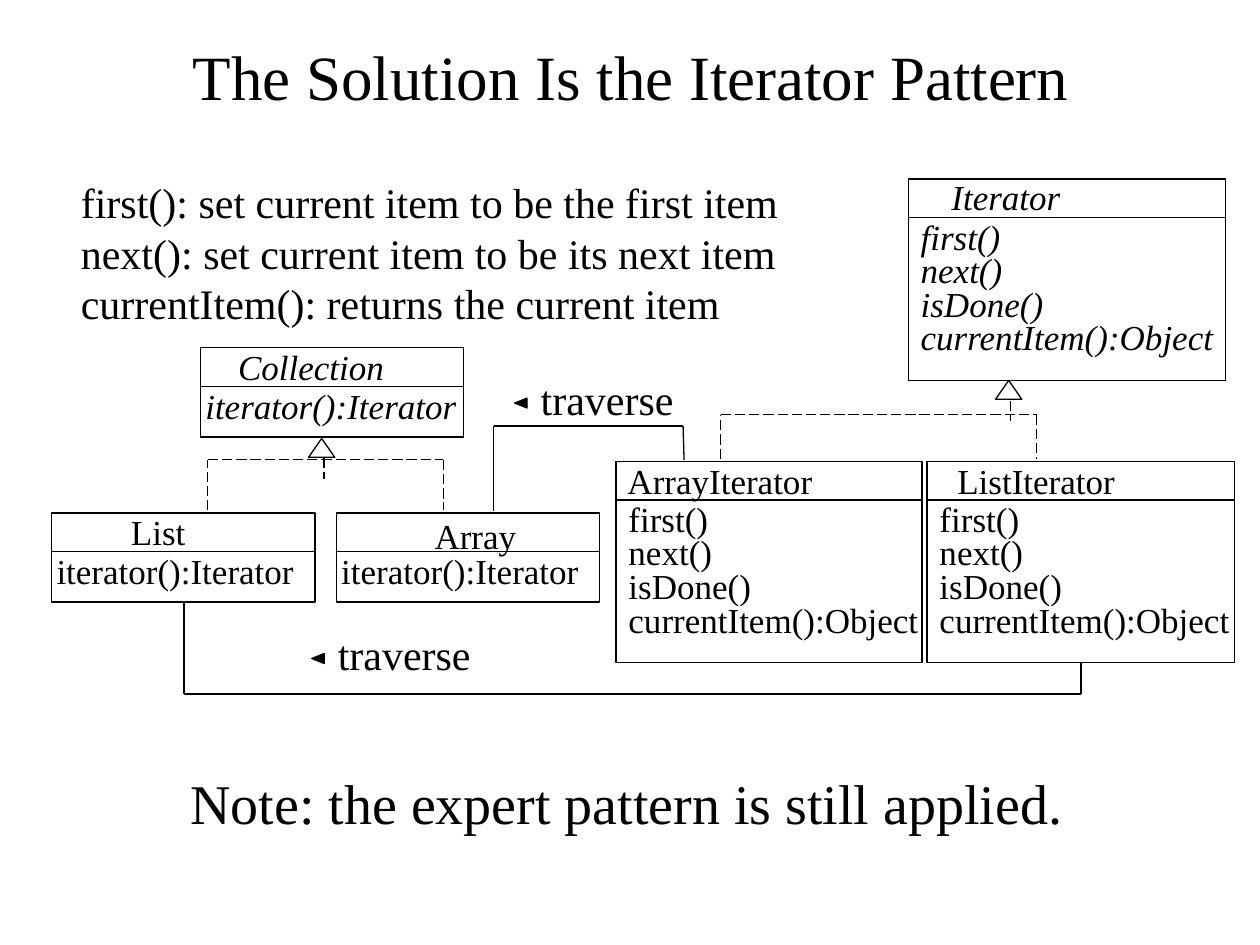
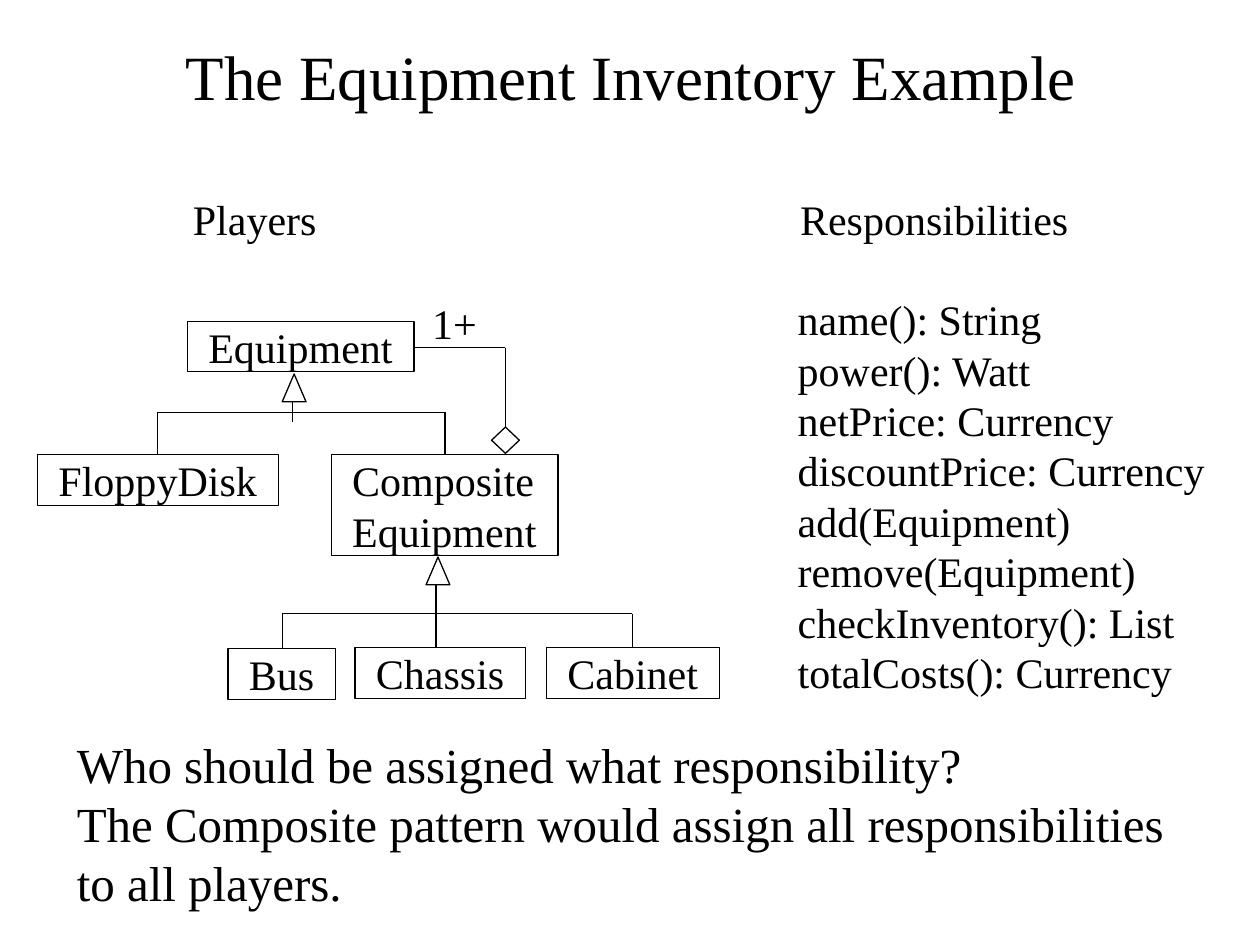
from itertools import pairwise

from lxml import etree
from pptx import Presentation
from pptx.dml.color import RGBColor
from pptx.enum.dml import MSO_LINE
from pptx.enum.shapes import MSO_CONNECTOR, MSO_SHAPE
from pptx.enum.text import MSO_ANCHOR, MSO_AUTO_SIZE, PP_ALIGN
from pptx.oxml.ns import qn
from pptx.util import Cm, Pt

# Shared look
INK = RGBColor(0x00, 0x00, 0x00)
FONT = "Times New Roman"
LINE_WIDTH = Pt(0.75)
TITLE_SIZE, LABEL_SIZE, CLASS_SIZE = 36, 24, 20

RECTANGLE = MSO_SHAPE.RECTANGLE
TRIANGLE = MSO_SHAPE.ISOSCELES_TRIANGLE
DIAMOND = MSO_SHAPE.DIAMOND
STRAIGHT = MSO_CONNECTOR.STRAIGHT
SOLID, LONG_DASH = MSO_LINE.SOLID, MSO_LINE.LONG_DASH
LEFT, CENTER = PP_ALIGN.LEFT, PP_ALIGN.CENTER
TOP, MIDDLE = MSO_ANCHOR.TOP, MSO_ANCHOR.MIDDLE
NO_AUTOFIT = MSO_AUTO_SIZE.NONE

# Slide content
ITERATOR_METHODS = ["first()", "next()", "isDone()", "currentItem():Object"]
COLLECTION_METHODS = ["iterator():Iterator"]
DEFINITIONS = [
    "first(): set current item to be the first item",
    "next(): set current item to be its next item",
    "currentItem(): returns the current item",
]
RESPONSIBILITIES = [
    "name(): String",
    "power(): Watt",
    "netPrice: Currency",
    "discountPrice: Currency",
    "add(Equipment)",
    "remove(Equipment)",
    "checkInventory(): List",
    "totalCosts(): Currency",
]
CONCLUSION = [
    "Who should be assigned what responsibility?",
    "The Composite pattern would assign all responsibilities",
    "to all players.",
]


def set_all(target, values):
    for name, value in values.items():
        setattr(target, name, value)


def write_lines(box, lines, size, italic=False, spacing=1.0, align=LEFT,
                anchor=TOP, wrap=False, side_margin=0, bullets_off=False):
    """Fill a shape with one paragraph per line."""
    frame = box.text_frame
    set_all(frame, {
        "word_wrap": wrap, "auto_size": NO_AUTOFIT, "vertical_anchor": anchor,
        "margin_left": Cm(side_margin), "margin_right": Cm(side_margin),
        "margin_top": 0, "margin_bottom": 0,
    })
    for index, line in enumerate(lines):
        para = frame.add_paragraph() if index else frame.paragraphs[0]
        if bullets_off:
            properties = para._p.get_or_add_pPr()
            properties.set("marL", "0")
            properties.set("indent", "0")
            etree.SubElement(properties, qn("a:buNone"))
        set_all(para, {"alignment": align, "line_spacing": spacing,
                       "space_before": Pt(0), "space_after": Pt(0)})
        span = para.add_run()
        span.text = line
        set_all(span.font, {"name": FONT, "size": Pt(size), "italic": italic})
        span.font.color.rgb = INK


def place(box, left, top, width, height):
    set_all(box, {"left": Cm(left), "top": Cm(top),
                  "width": Cm(width), "height": Cm(height)})


def add_page(deck, title):
    page = deck.slides.add_slide(deck.slide_layouts[1])
    place(page.shapes.title, 0.58, 0.61, 24.28, 1.83)
    write_lines(page.shapes.title, [title], TITLE_SIZE, align=CENTER,
                anchor=MIDDLE, wrap=True, side_margin=0.25)
    return page


def fill_list(page, lines, left, top, width, height):
    body = page.placeholders[1]
    place(body, left, top, width, height)
    write_lines(body, lines, LABEL_SIZE, wrap=True, bullets_off=True)


def add_label(page, lines, left, top, width, size=LABEL_SIZE, italic=False,
              spacing=1.0):
    height = Pt(size * spacing * len(lines))
    box = page.shapes.add_textbox(Cm(left), Cm(top), Cm(width), height)
    write_lines(box, lines, size, italic, spacing)


def add_outline(page, kind, left, top, width, height, filled=False):
    shape = page.shapes.add_shape(kind, Cm(left), Cm(top), Cm(width), Cm(height))
    shape.shadow.inherit = False
    if filled:
        shape.fill.solid()
        shape.fill.fore_color.rgb = INK
    else:
        shape.fill.background()
    shape.line.color.rgb = INK
    shape.line.width = LINE_WIDTH
    return shape


def add_path(page, *points, dash=SOLID):
    """Join the points with straight lines."""
    for (x1, y1), (x2, y2) in pairwise(points):
        line = page.shapes.add_connector(STRAIGHT, Cm(x1), Cm(y1), Cm(x2), Cm(y2))
        etree.SubElement(line._element.spPr, qn("a:effectLst"))
        line.line.color.rgb = INK
        set_all(line.line, {"width": LINE_WIDTH, "dash_style": dash})


def add_bracket(page, left, right, bar, foot, dash=SOLID):
    add_path(page, (left, foot), (left, bar), (right, bar), (right, foot), dash=dash)


def add_class(page, name, methods, left, top, width, name_left, name_width,
              methods_width, italic=False, name_drop=-0.04):
    """Draw a class with its name above a divider and its methods below."""
    if len(methods) > 1:
        height, inset, drop, spacing = 4.06, 0.25, 0.89, 0.8
    else:
        height, inset, drop, spacing = 1.80, 0.10, 0.74, 1.0
    divider = top + 0.78
    add_outline(page, RECTANGLE, left, top, width, height)
    add_path(page, (left, divider), (left + width, divider))
    add_label(page, [name], name_left, top + name_drop, name_width,
              CLASS_SIZE, italic)
    add_label(page, methods, left + inset, top + drop, methods_width,
              CLASS_SIZE, italic, spacing)


def add_player(page, lines, left, top, width):
    box = add_outline(page, RECTANGLE, left, top, width, 1.016 * len(lines))
    write_lines(box, lines, LABEL_SIZE, side_margin=0.42)


def add_traverse(page, left, top):
    add_label(page, ["traverse"], left, top, 2.69)
    marker = add_outline(page, TRIANGLE, left - 0.5, top + 0.48, 0.2, 0.25, filled=True)
    marker.rotation = 270


def build_iterator_page(deck):
    page = add_page(deck, "The Solution Is the Iterator Pattern")
    fill_list(page, DEFINITIONS, 1.63, 3.56, 14.88, 3.05)

    # Iterator classes
    add_class(page, "Iterator", ITERATOR_METHODS, 18.31, 3.61, 6.4,
              19.18, 2.21, 5.92, italic=True, name_drop=-0.08)
    add_class(page, "ArrayIterator", ITERATOR_METHODS, 12.42, 9.3, 6.17,
              12.65, 3.73, 5.84)
    add_class(page, "ListIterator", ITERATOR_METHODS, 18.69, 9.3, 6.2,
              19.3, 3.18, 5.84)
    add_outline(page, TRIANGLE, 20.07, 7.67, 0.53, 0.38)
    add_path(page, (20.37, 8.08), (20.37, 8.48), dash=LONG_DASH)
    add_bracket(page, 14.53, 20.9, 8.36, 9.25, LONG_DASH)

    # Collection classes
    add_class(page, "Collection", COLLECTION_METHODS, 4.04, 7.01, 5.31,
              4.8, 2.95, 5.08, italic=True)
    add_class(page, "List", COLLECTION_METHODS, 1.04, 10.34, 5.31,
              2.64, 1.09, 4.8)
    add_class(page, "Array", COLLECTION_METHODS, 6.78, 10.34, 5.31,
              8.76, 1.65, 4.8, name_drop=0.03)
    add_outline(page, TRIANGLE, 6.22, 8.84, 0.53, 0.38)
    add_path(page, (6.53, 9.22), (6.53, 9.65), dash=LONG_DASH)
    add_bracket(page, 4.19, 8.94, 9.27, 10.29, LONG_DASH)

    # Associations
    add_path(page, (9.95, 10.31), (9.95, 8.59), (13.77, 8.59), (13.79, 9.27))
    add_path(page, (21.79, 13.36), (21.79, 13.99), (3.71, 13.99), (3.71, 12.14))
    add_traverse(page, 10.9, 7.52)
    add_traverse(page, 6.81, 12.67)

    add_label(page, ["Note: the expert pattern is still applied."],
              3.84, 15.49, 17.6, size=32)


def build_equipment_page(deck):
    page = add_page(deck, "The Equipment Inventory Example")

    # Column headings and responsibilities
    add_label(page, ["Players"], 3.89, 3.91, 2.49)
    add_label(page, ["Responsibilities"], 16.13, 3.91, 5.41)
    fill_list(page, RESPONSIBILITIES, 16.08, 5.92, 8.6, 8.13)

    # Players
    for lines, left, top, width in [
        (["Equipment"], 3.78, 6.48, 4.57),
        (["FloppyDisk"], 0.76, 9.17, 4.85),
        (["Composite", "Equipment"], 6.68, 9.17, 4.57),
        (["Bus"], 4.6, 13.08, 2.16),
        (["Chassis"], 7.16, 13.06, 3.43),
        (["Cabinet"], 11.02, 13.06, 3.48),
    ]:
        add_player(page, lines, left, top, width)

    # Inheritance
    add_outline(page, TRIANGLE, 5.69, 7.54, 0.48, 0.56)
    add_path(page, (5.89, 8.1), (5.89, 8.51))
    add_bracket(page, 3.18, 8.97, 8.31, 9.17)
    add_outline(page, TRIANGLE, 8.59, 11.23, 0.48, 0.56)
    add_path(page, (8.79, 11.79), (8.79, 13.06))
    add_bracket(page, 5.69, 12.75, 12.37, 13.07)

    # Aggregation
    add_outline(page, DIAMOND, 9.91, 8.61, 0.56, 0.53)
    add_path(page, (8.36, 7.01), (10.19, 7.01), (10.19, 8.61))
    add_label(page, ["1+"], 8.71, 5.99, 0.91)

    add_label(page, CONCLUSION, 1.55, 14.81, 21.92, size=28)


def main():
    deck = Presentation()
    deck.slide_width, deck.slide_height = Cm(25.4), Cm(19.05)
    build_iterator_page(deck)
    build_equipment_page(deck)
    deck.save("out.pptx")


if __name__ == "__main__":
    main()
